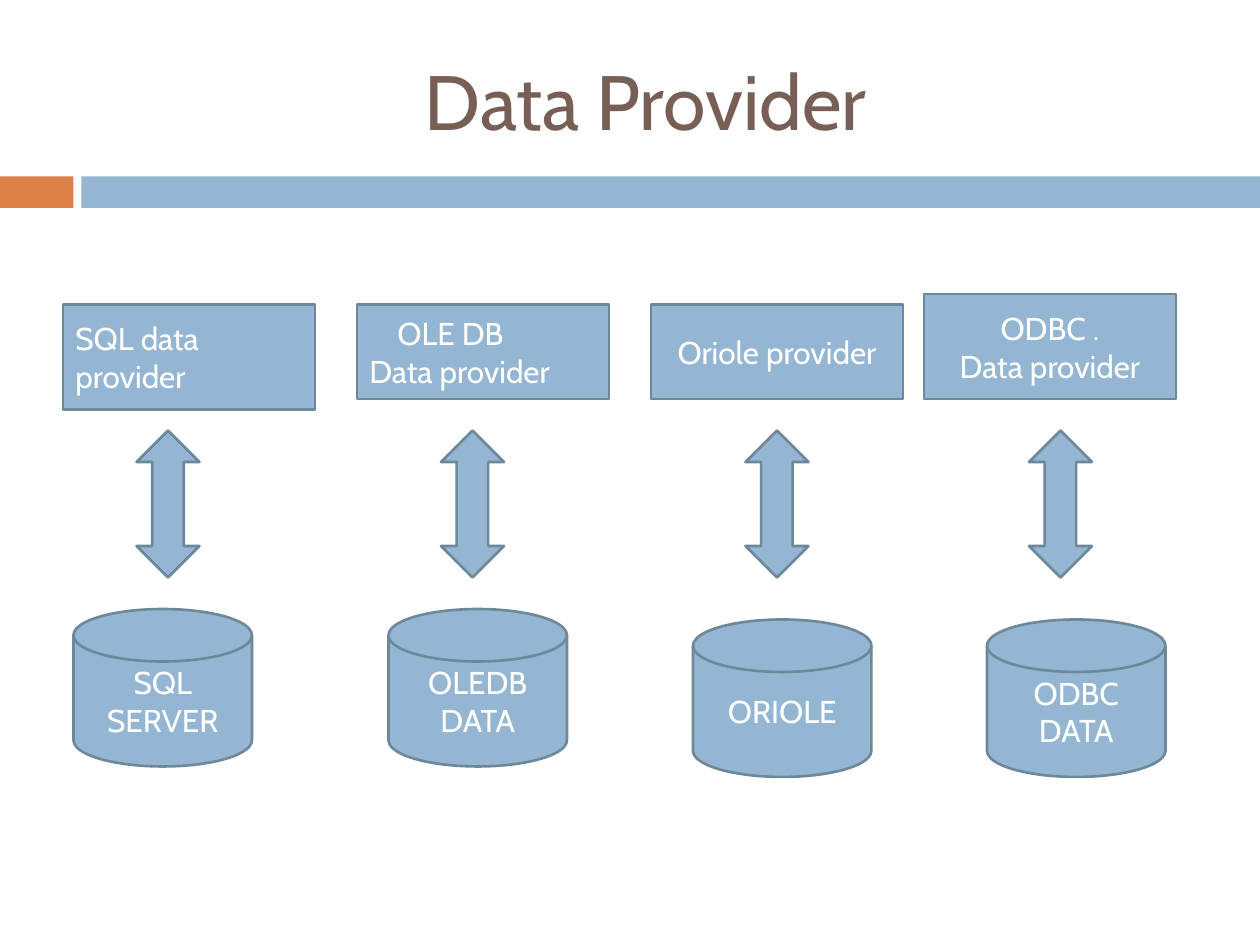
from pptx import Presentation
from pptx.dml.color import RGBColor
from pptx.enum.shapes import MSO_SHAPE
from pptx.enum.text import MSO_ANCHOR, PP_ALIGN
from pptx.util import Pt

HUES = {
    "blue": "94B6D2",
    "edge": "6D879B",
    "rust": "DD8047",
    "brown": "775F55",
    "white": "FFFFFF",
}
LEFT, MID = PP_ALIGN.LEFT, PP_ALIGN.CENTER


class Deck:
    font = "Cabin"

    def __init__(self, slide):
        self.slide = slide

    def hue(self, name):
        return RGBColor.from_string(HUES[name])

    def label(self, frame, text, size, hue, align):
        frame.text = text
        frame.word_wrap = True
        frame.vertical_anchor = MSO_ANCHOR.MIDDLE
        for line in frame.paragraphs:
            line.alignment = align
            for run in line.runs:
                run.font.name = self.font
                run.font.size = Pt(size)
                run.font.color.rgb = self.hue(hue)

    def title(self, text, *area):
        head = self.slide.shapes.title
        head.left, head.top, head.width, head.height = map(Pt, area)
        self.label(head.text_frame, text, 44, "brown", MID)

    def shape(self, kind, *area, fill="blue", edge=True, text="", align=MID):
        item = self.slide.shapes.add_shape(kind, *map(Pt, area))
        item.shadow.inherit = False
        item.fill.solid()
        item.fill.fore_color.rgb = self.hue(fill)
        if edge:
            item.line.color.rgb = self.hue("edge")
            item.line.width = Pt(1.5)
        else:
            item.line.fill.background()
        if text:
            self.label(item.text_frame, text, 18, "white", align)
        return item

    def indent(self, item, size):
        line = item.text_frame.paragraphs[0]
        line._p.get_or_add_pPr().set("indent", str(Pt(size)))


show = Presentation()
show.slide_width, show.slide_height = Pt(720), Pt(540)
deck = Deck(show.slides.add_slide(show.slide_layouts[5]))

deck.shape(MSO_SHAPE.RECTANGLE, 0, 100.8, 42, 18, fill="rust", edge=False)
deck.shape(MSO_SHAPE.RECTANGLE, 46.5, 100.8, 673.5, 18, edge=False)
deck.title("Data Provider", 48, 18, 642, 78)

boxes = [
    (36, 174, 60, "SQL data provider", LEFT, 0),
    (204, 174, 54, "OLE DB\nData provider", LEFT, 16),
    (372, 174, 54, "Oriole provider", MID, 0),
    (528, 168, 60, "ODBC .\nData provider", MID, 0),
]
for left, top, high, text, align, indent in boxes:
    box = deck.shape(MSO_SHAPE.RECTANGLE, left, top, 144, high, text=text, align=align)
    if indent:
        deck.indent(box, indent)

for left in (78, 252, 426, 588):
    deck.shape(MSO_SHAPE.UP_DOWN_ARROW, left, 246, 36, 84)

disks = [
    (42, 348, "SQL SERVER"),
    (222, 348, "OLEDB DATA"),
    (396, 354, "ORIOLE"),
    (564, 354, "ODBC DATA"),
]
for left, top, text in disks:
    deck.shape(MSO_SHAPE.FLOWCHART_MAGNETIC_DISK, left, top, 102, 90, text=text)

show.save("out.pptx")
